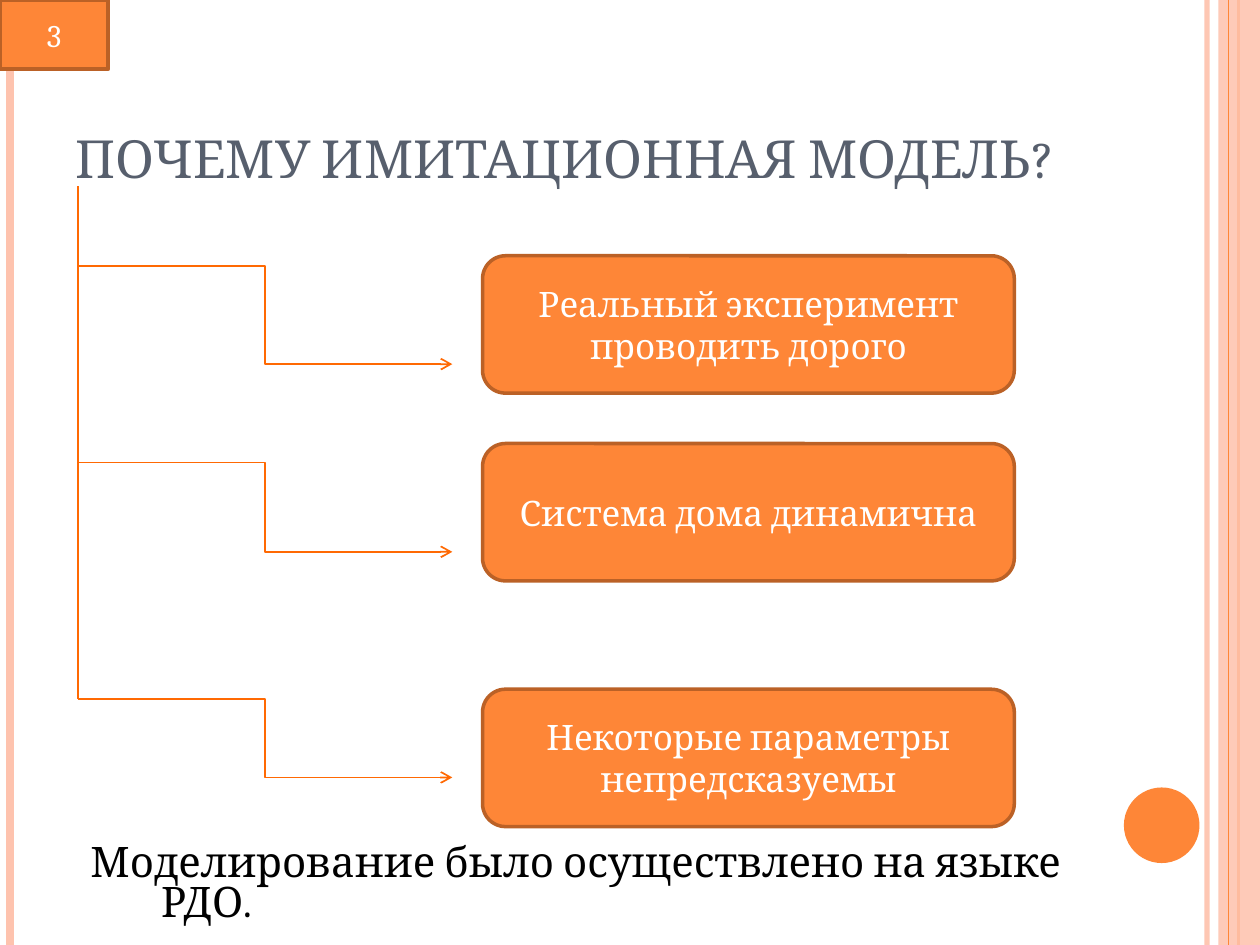
from lxml import etree
from pptx import Presentation
from pptx.dml.color import RGBColor
from pptx.enum import shapes, text
from pptx.oxml.ns import qn
from pptx.util import Inches, Pt


def paint(color_format, hex_color, alpha=None):
    color_format.rgb = RGBColor.from_string(hex_color)
    if alpha:
        srgb = color_format._xFill.find(qn("a:srgbClr"))
        etree.SubElement(srgb, qn("a:alpha"), val=str(alpha * 1000))


def write(shape, words, size, color, align, anchor):
    frame = shape.text_frame
    frame.word_wrap = True
    frame.vertical_anchor = anchor
    paragraph = frame.paragraphs[0]
    paragraph.text = words
    paragraph.alignment = align
    paragraph.font.size = Pt(size)
    paragraph.font.name = "Cambria"
    paint(paragraph.font.color, color)
    return paragraph


ORANGE, DARK, PALE, BRIGHT = "FE8637", "BB6126", "FEC3AE", "FF6903"
LEFT, CENTER = text.PP_ALIGN.LEFT, text.PP_ALIGN.CENTER
TOP, MIDDLE, BOTTOM = text.MSO_ANCHOR.TOP, text.MSO_ANCHOR.MIDDLE, text.MSO_ANCHOR.BOTTOM
STRAIGHT, ELBOW = shapes.MSO_CONNECTOR.STRAIGHT, shapes.MSO_CONNECTOR.ELBOW
RECT, ROUNDED, OVAL = (shapes.MSO_SHAPE.RECTANGLE, shapes.MSO_SHAPE.ROUNDED_RECTANGLE,
                       shapes.MSO_SHAPE.OVAL)

deck = Presentation()
deck.slide_width, deck.slide_height = Inches(10), Inches(7.5)
slide = deck.slides.add_slide(deck.slide_layouts[6])

for x, color, width, alpha in [(9.58, PALE, 3, 93), (0.08, PALE, 4.5, None),
                               (9.83, ORANGE, 1.5, None), (9.75, ORANGE, 0.75, None)]:
    stripe = slide.shapes.add_connector(STRAIGHT, Inches(x), 0, Inches(x), deck.slide_height)
    stripe.line.width = Pt(width)
    paint(stripe.line.color, color, alpha)
    etree.SubElement(stripe._element.spPr, qn("a:effectLst"))
    if x == 9.83:
        band = slide.shapes.add_shape(RECT, Inches(9.67), 0, Inches(0.33), deck.slide_height)
        band.shadow.inherit = False
        band.fill.solid()
        paint(band.fill.fore_color, PALE, 87)
        band.line.fill.background()

dot = slide.shapes.add_shape(OVAL, Inches(8.92), Inches(6.25), Inches(0.6), Inches(0.6))
dot.shadow.inherit = False
dot.fill.solid()
paint(dot.fill.fore_color, ORANGE)
dot.line.fill.background()

title = slide.shapes.add_textbox(Inches(0.5), Inches(0.3), Inches(8.17), Inches(1.25))
write(title, "ПОЧЕМУ ИМИТАЦИОННАЯ МОДЕЛЬ?", 30, "575F6D", LEFT, BOTTOM)

for kind, x, y, width, height, words, size in [
    (ROUNDED, 3.83, 2.03, 4.22, 1.09, "Реальный эксперимент проводить дорого", 20),
    (ROUNDED, 3.83, 3.52, 4.22, 1.09, "Система дома динамична", 20),
    (ROUNDED, 3.83, 5.47, 4.22, 1.09, "Некоторые параметры непредсказуемы", 20),
    (RECT, 0, 0, 0.86, 0.55, "3", 18),
]:
    box = slide.shapes.add_shape(kind, Inches(x), Inches(y), Inches(width), Inches(height))
    box.shadow.inherit = False
    box.fill.solid()
    paint(box.fill.fore_color, ORANGE)
    box.line.width = Pt(2)
    paint(box.line.color, DARK)
    write(box, words, size, "FFFFFF", CENTER, MIDDLE)

tree = slide.shapes.add_group_shape()
for kind, x1, y1, x2, y2 in [
    (ELBOW, 0.62, 2.11, 3.59, 2.89),
    (ELBOW, 0.62, 3.67, 3.59, 4.38),
    (ELBOW, 0.62, 5.55, 3.59, 6.17),
    (STRAIGHT, 0.62, 1.48, 0.62, 5.55),
]:
    branch = tree.shapes.add_connector(kind, Inches(x1), Inches(y1), Inches(x2), Inches(y2))
    branch.line.width = Pt(1)
    paint(branch.line.color, BRIGHT)
    if kind == ELBOW:
        etree.SubElement(branch.line._get_or_add_ln(), qn("a:tailEnd"), type="arrow")
    etree.SubElement(branch._element.spPr, qn("a:effectLst"))

conclusion = slide.shapes.add_textbox(Inches(0.47), Inches(6.66), Inches(8.17), Inches(0.84))
sentence = write(conclusion, "Моделирование было осуществлено на языке РДО.", 24, "000000", LEFT, TOP)
sentence.line_spacing = 0.8
indent = sentence._p.get_or_add_pPr()
indent.set("marL", str(Inches(0.71)))
indent.set("indent", str(Inches(-0.56)))

deck.save("out.pptx")
